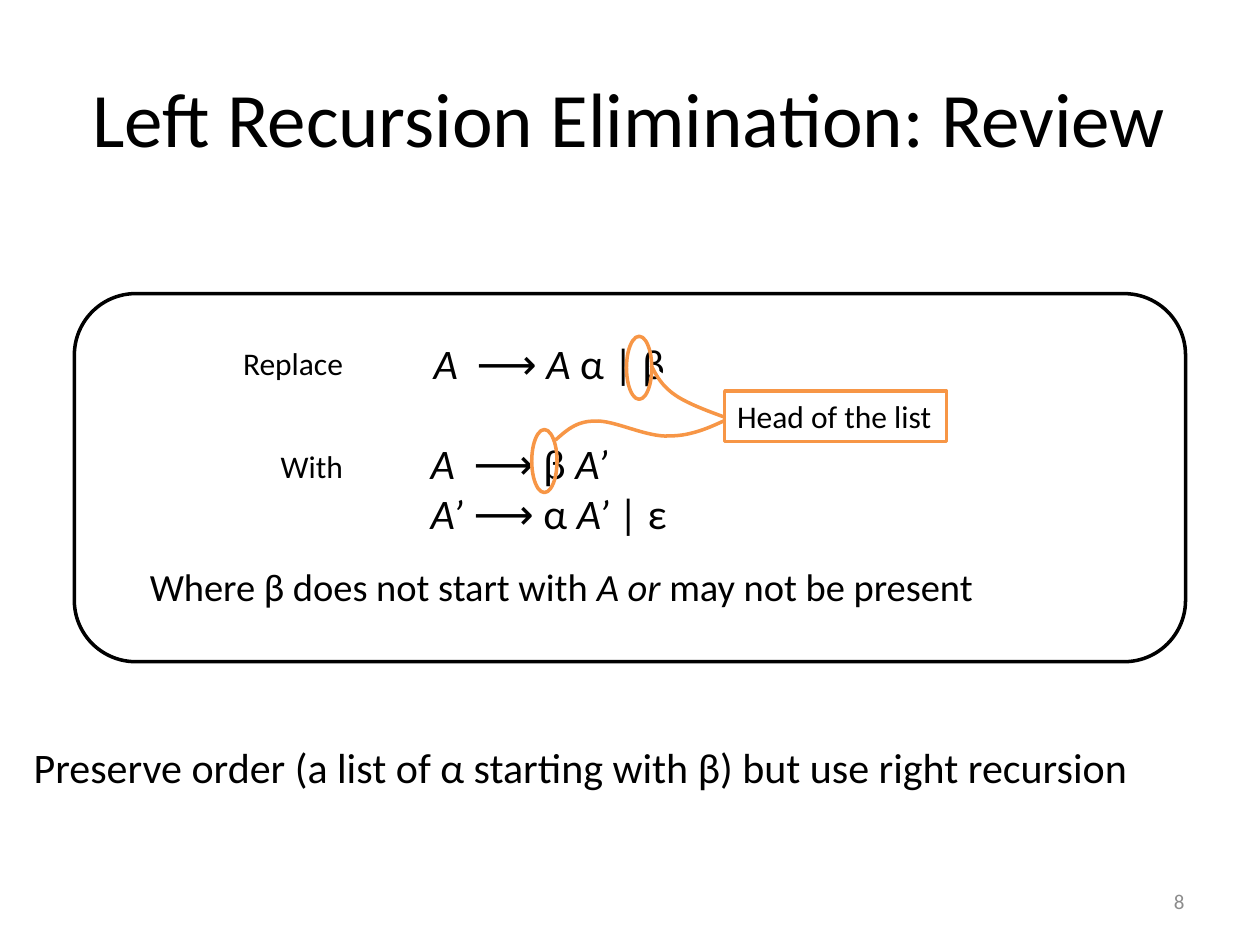
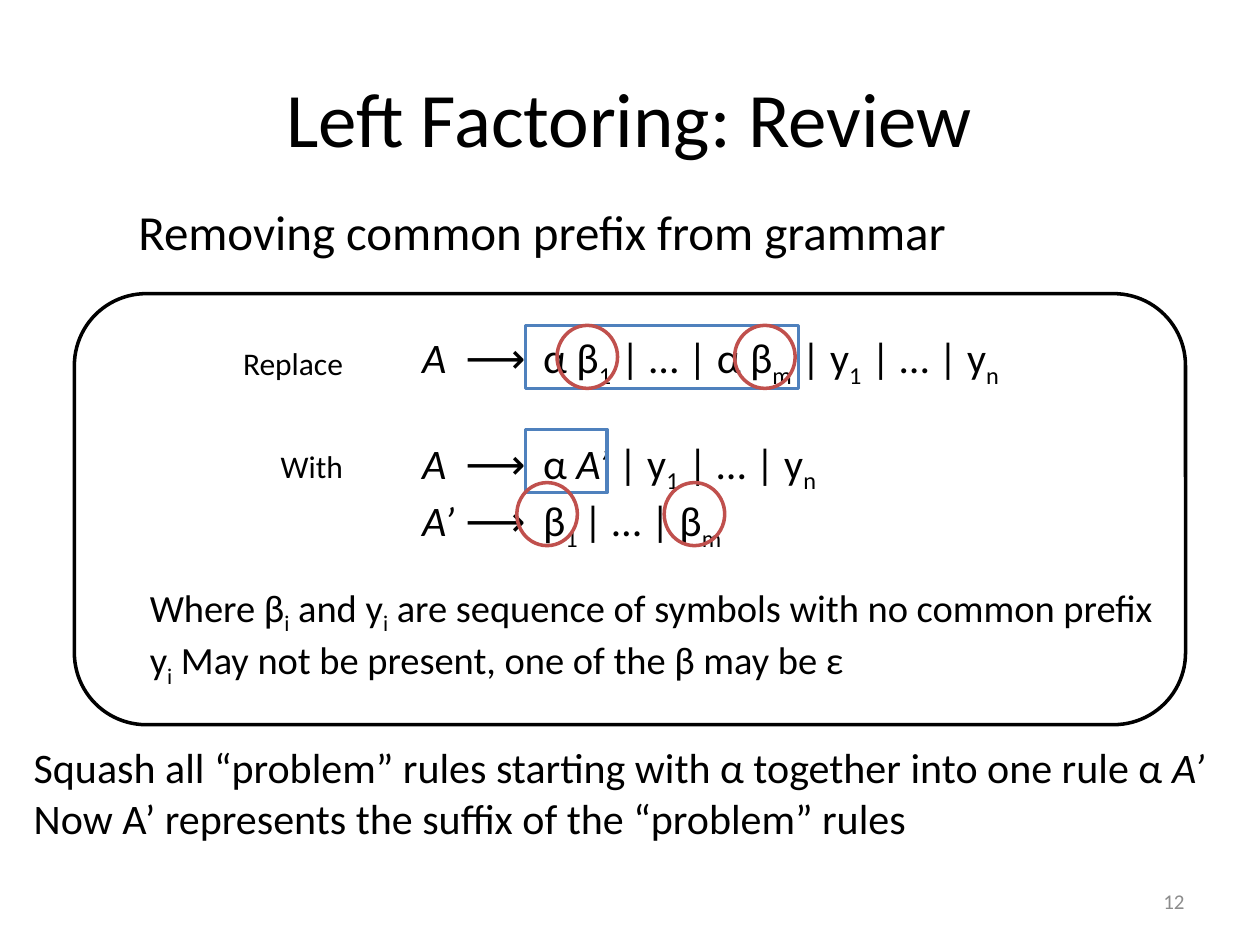
from pptx import Presentation
from pptx.dml.color import RGBColor
from pptx.enum.shapes import MSO_SHAPE
from pptx.enum.text import MSO_ANCHOR, MSO_AUTO_SIZE, PP_ALIGN
from pptx.oxml.ns import qn
from pptx.util import Cm, Pt
from lxml.etree import SubElement

COLORS = {"ink": "000000", "paper": "FFFFFF", "muted": "8C8C8C",
          "orange": "F79646", "blue": "4F81BD", "red": "C0504D"}
FONT = "Calibri"
INDENT = 1.27
TABS = (0.87, 2.44)  # start of the arrow, start of the right-hand side

# Boxes are (left, top, width, height) in cm
TITLE = (0.84, 0.76, 23.7, 3.18)
BODY = (1.27, 3.94, 22.23, 12.57)
NUMBER = (18.21, 17.65, 5.92, 1.02)


def color(name):
    """Return a palette colour."""
    return RGBColor.from_string(COLORS[name])


def inside(box, x, y, w, h):
    """Return a box whose offset is measured from the corner of another."""
    return box[0] + x, box[1] + y, w, h


def add_runs(p, text, size, ink):
    """Fill a paragraph; *x* is italic and ~x~ is subscript."""
    for i, chunk in enumerate(text.split("*")):
        for j, part in enumerate(chunk.split("~")):
            if not part:
                continue
            r = p.add_run()
            r.text = part
            r.font.name, r.font.size = FONT, Pt(size)
            r.font.color.rgb = color(ink)
            r.font.italic = i % 2 == 1
            if j % 2:
                r.font._element.set("baseline", "-25000")


def write(sp, *lines, size=24, ink="ink", align=PP_ALIGN.LEFT, wrap=True,
          anchor=MSO_ANCHOR.TOP, grow=True, indent=0, tabs=()):
    """Write one paragraph per line into a shape."""
    tf = sp.text_frame
    tf.word_wrap = wrap
    tf.vertical_anchor = anchor
    tf.auto_size = MSO_AUTO_SIZE.SHAPE_TO_FIT_TEXT if grow else MSO_AUTO_SIZE.NONE
    for i, line in enumerate(lines):
        p = tf.add_paragraph() if i else tf.paragraphs[0]
        p.alignment = align
        pPr = p._p.get_or_add_pPr()
        if indent:
            p.level = 1
            pPr.set("marL", str(Cm(indent)))
            pPr.set("indent", "0")
        if tabs:
            tab_list = SubElement(pPr, qn("a:tabLst"))
            for pos in tabs:
                SubElement(tab_list, qn("a:tab"), pos=str(Cm(pos)), algn="l")
        add_runs(p, line, size, ink)


def add_text(s, box, *lines, **fmt):
    """Add a text box with the given format."""
    write(s.shapes.add_textbox(*map(Cm, box)), *lines, **fmt)


def style(sp, line, fill=None):
    """Give a shape its outline and, if named, its fill."""
    sp.shadow.inherit = False
    sp.line.color.rgb = color(line)
    sp.line.width = Pt(2)
    if fill:
        sp.fill.solid()
        sp.fill.fore_color.rgb = color(fill)
    else:
        sp.fill.background()


def add_outline(s, kind, box, line, fill=None):
    """Add an outlined preset shape."""
    sp = s.shapes.add_shape(kind, *map(Cm, box))
    style(sp, line, fill)
    return sp


def add_curve(s, box, points, line, steps=16):
    """Draw joined cubic Bezier curves, with points measured from the box."""
    def at(a, b, c, d, t):
        u = 1 - t
        return u**3 * a + 3 * u * u * t * b + 3 * u * t * t * c + t**3 * d

    track = [points[0]]
    for i in range(0, len(points) - 1, 3):
        xs, ys = zip(*points[i:i + 4])
        track += [(at(*xs, k / steps), at(*ys, k / steps))
                  for k in range(1, steps + 1)]
    track = [(Cm(box[0] + x), Cm(box[1] + y)) for x, y in track]
    fb = s.shapes.build_freeform(*track[0])
    fb.add_line_segments(track[1:], close=False)
    style(fb.convert_to_shape(), line, "paper")


def add_frame(prs, title, number):
    """Add a slide with its title and slide number."""
    s = prs.slides.add_slide(prs.slide_layouts[6])
    add_text(s, TITLE, title, size=44, align=PP_ALIGN.CENTER,
             anchor=MSO_ANCHOR.MIDDLE, grow=False)
    add_text(s, NUMBER, number, size=12, ink="muted", align=PP_ALIGN.RIGHT,
             anchor=MSO_ANCHOR.MIDDLE, grow=False)
    return s


def add_panel(s, box, before, after, where):
    """Draw the rounded panel; each part is (offset box, lines)."""
    add_outline(s, MSO_SHAPE.ROUNDED_RECTANGLE, box, "ink", "paper")
    add_text(s, inside(box, 3.15, 0.89, 2.57, 1.02), "Replace", size=18, wrap=False)
    add_text(s, inside(box, 3.91, 2.97, 1.78, 1.02), "With", size=18, wrap=False)
    for place, lines in (before, after):
        add_text(s, inside(box, *place), *lines, tabs=TABS)
    place, lines = where
    add_text(s, inside(box, *place), *lines, size=22, indent=INDENT)


def add_head_callout(s, box):
    """Circle the heads of the list and tie them to their label."""
    for x, y in ((9.22, 2.74), (11.13, 0.86)):
        add_outline(s, MSO_SHAPE.OVAL, inside(box, x, y, 0.51, 1.27), "orange")
    add_curve(s, box, [(9.7, 2.95), (9.91, 2.77), (10.11, 2.57), (10.49, 2.57),
                       (10.87, 2.54), (11.53, 2.9), (11.99, 2.87),
                       (12.45, 2.87), (12.83, 2.69), (13.21, 2.51)], "orange")
    add_curve(s, box, [(11.63, 1.45), (11.73, 1.65), (11.84, 1.85), (12.09, 2.03),
                       (12.34, 2.21), (12.75, 2.36), (13.16, 2.51)], "orange")
    sp = add_outline(s, MSO_SHAPE.RECTANGLE, inside(box, 13.11, 1.96, 4.47, 1.02),
                     "orange", "paper")
    write(sp, "Head of the list", size=18, wrap=False)


def add_factor_marks(s, box):
    """Frame the prefixed rules and circle the suffixes."""
    for y, w in ((0.64, 5.51), (2.74, 1.65)):
        add_outline(s, MSO_SHAPE.RECTANGLE, inside(box, 9.09, y, w, 1.27), "blue")
    for x, y in ((9.73, 0.64), (13.31, 0.64), (8.92, 3.81), (11.89, 3.81)):
        add_outline(s, MSO_SHAPE.OVAL, inside(box, x, y, 1.22, 1.27), "red")


def build_recursion(prs):
    """Build the slide on left recursion."""
    s = add_frame(prs, "Left Recursion Elimination: Review", "8")
    box = (1.5, 5.92, 22.4, 7.42)
    add_panel(s, box,
              ((6.99, 0.76, 5.18, 1.27), ["*A*\t⟶ *A *α | β"]),
              ((6.93, 2.77, 6.02, 2.31), ["*A*\t⟶ β *A’*", "*A’*\t⟶ α *A’ *| ε"]),
              ((0, 5.31, 19.86, 1.19),
               ["Where β does not start with *A or* may not be present"]))
    add_text(s, (-0.84, 14.83, 24.23, 1.27),
             "Preserve order (a list of α starting with β) but use right recursion",
             indent=INDENT)
    add_head_callout(s, box)


def build_factoring(prs):
    """Build the slide on left factoring."""
    s = add_frame(prs, "Left Factoring: Review", "12")
    add_text(s, BODY, "Removing common prefix from grammar", size=28,
             grow=False, indent=INDENT)
    box = (1.5, 5.92, 22.4, 8.69)
    add_panel(s, box,
              ((6.76, 0.64, 12.5, 1.27),
               ["*A*\t⟶\tα β~1~ | … | α β~m~ | y~1~ | … | y~n~"]),
              ((6.76, 2.77, 10.36, 2.31),
               ["*A*\t⟶\tα *A’ *| y~1~ | … | y~n~", "*A’*\t⟶\tβ~1 ~| … | β~m~"]),
              ((0, 5.72, 22.4, 2.13),
               ["Where β~i~ and y~i~ are sequence of symbols with no common prefix",
                "y~i~ May not be present, one of the β may be ε"]))
    add_text(s, (-0.84, 14.83, 25.6, 2.31),
             "Squash all “problem” rules starting with α together into one rule α *A’*",
             "Now A’ represents the suffix of the “problem” rules", indent=INDENT)
    add_factor_marks(s, box)


prs = Presentation()
prs.slide_width, prs.slide_height = Cm(25.4), Cm(19.05)
build_recursion(prs)
build_factoring(prs)
prs.save("out.pptx")
